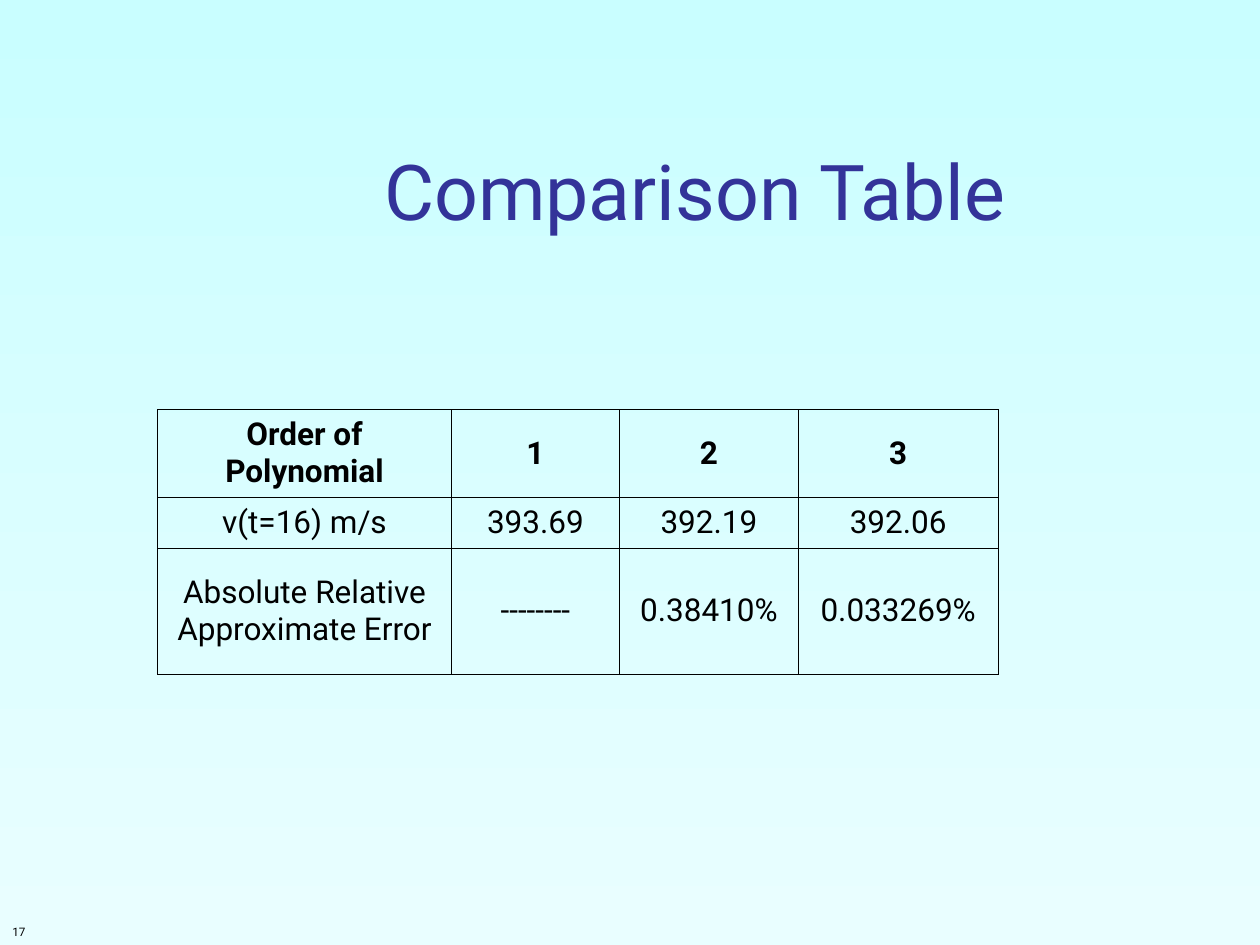
from lxml import etree
from pptx import Presentation
from pptx.dml.color import RGBColor
from pptx.enum import text
from pptx.oxml import ns
from pptx.util import Inches, Pt

FONT = "Roboto"
BLACK = RGBColor(0x00, 0x00, 0x00)
INDIGO = RGBColor(0x33, 0x33, 0x99)
SKY_TOP = RGBColor(0xC9, 0xFE, 0xFF)
SKY_BOTTOM = RGBColor(0xE9, 0xFE, 0xFF)

COLUMN_WIDTHS = [2.33, 1.33, 1.42, 1.58]
ROW_HEIGHTS = [0.7, 0.4, 1]
COMPARISON = [
    ["Order of Polynomial", "1", "2", "3"],
    ["v(t=16) m/s", "393.69", "392.19", "392.06"],
    ["Absolute Relative Approximate Error", "--------", "0.38410%", "0.033269%"],
]


def write(frame, words, size, color, align, anchor, bold=False):
    frame.word_wrap = True
    frame.vertical_anchor = anchor
    paragraph = frame.paragraphs[0]
    paragraph.alignment = align
    run = paragraph.add_run()
    run.text = words
    run.font.name = FONT
    run.font.size = Pt(size)
    run.font.bold = bold
    run.font.color.rgb = color


def paint_background(slide):
    fill = slide.background.fill
    fill.gradient()
    fill.gradient_angle = 270  # top to bottom
    for stop, color in zip(fill.gradient_stops, (SKY_TOP, SKY_BOTTOM)):
        stop.color.rgb = color


def place_title(slide, left, top, width, height):
    title = slide.shapes.title
    title.left, title.top, title.width, title.height = left, top, width, height
    write(title.text_frame, "Comparison Table", 44, INDIGO,
          text.PP_ALIGN.CENTER, text.MSO_ANCHOR.BOTTOM)


def place_page_number(slide, left, top, width, height):
    number = slide.shapes.add_textbox(left, top, width, height)
    write(number.text_frame, "17", 6.7, BLACK,
          text.PP_ALIGN.LEFT, text.MSO_ANCHOR.BOTTOM)


def outline(cell):
    properties = cell._tc.get_or_add_tcPr()
    for side in ("a:lnL", "a:lnR", "a:lnT", "a:lnB"):
        line = etree.SubElement(properties, ns.qn(side), w=str(Pt(0.45)))
        fill = etree.SubElement(line, ns.qn("a:solidFill"))
        etree.SubElement(fill, ns.qn("a:srgbClr"), val=str(BLACK))


def place_comparison(slide, left, top, width, height):
    table = slide.shapes.add_table(len(ROW_HEIGHTS), len(COLUMN_WIDTHS),
                                   left, top, width, height).table
    table.first_row = table.horz_banding = False
    for column, share in zip(table.columns, COLUMN_WIDTHS):
        column.width = int(width * share / sum(COLUMN_WIDTHS))
    for row, share in zip(table.rows, ROW_HEIGHTS):
        row.height = int(height * share / sum(ROW_HEIGHTS))

    for r, entries in enumerate(COMPARISON):
        for c, entry in enumerate(entries):
            cell = table.cell(r, c)
            write(cell.text_frame, entry, 18, BLACK,
                  text.PP_ALIGN.CENTER, None, bold=r == 0)
            cell.vertical_anchor = text.MSO_ANCHOR.MIDDLE
            outline(cell)
            cell.fill.background()


def main():
    deck = Presentation()
    deck.slide_width, deck.slide_height = Inches(10), Inches(7.5)
    slide = deck.slides.add_slide(deck.slide_layouts[5])  # title only

    paint_background(slide)
    place_page_number(slide, Inches(0), Inches(7.25), Inches(2.08), Inches(0.25))
    place_title(slide, Inches(1.26), Inches(0.67), Inches(8.52), Inches(1.25))
    place_comparison(slide, Inches(1.25), Inches(3.25), Inches(6.67), Inches(2.1))
    deck.save("out.pptx")


if __name__ == "__main__":
    main()
